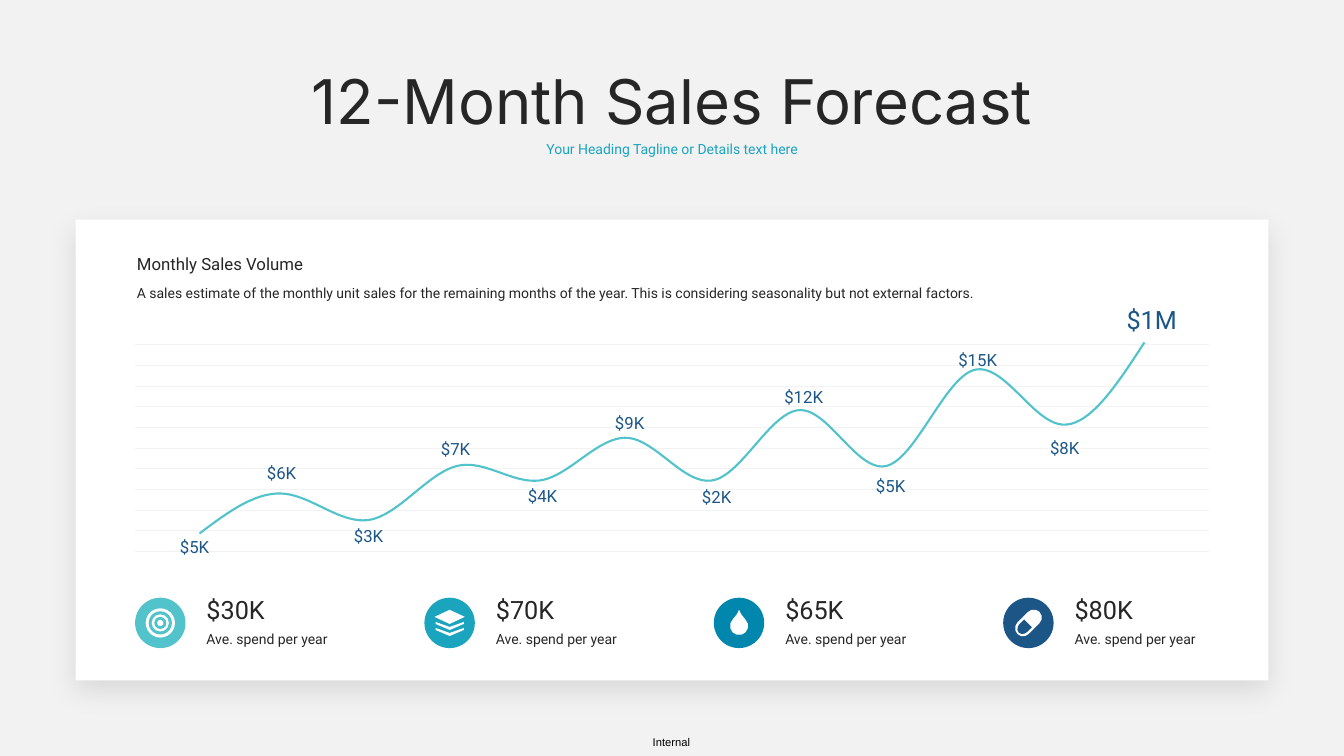
"""Build a 12-month sales forecast slide with a line chart and four spend figures."""
from lxml.etree import SubElement
from pptx import Presentation
from pptx.chart.data import CategoryChartData
from pptx.dml.color import RGBColor
from pptx.enum.chart import XL_CHART_TYPE as ChartType, XL_MARKER_STYLE as Marker
from pptx.enum.shapes import MSO_CONNECTOR as Connector, MSO_SHAPE as Preset
from pptx.enum.text import MSO_ANCHOR as Anchor, MSO_AUTO_SIZE as AutoSize, PP_ALIGN as Align
from pptx.oxml import parse_xml
from pptx.oxml.ns import nsdecls, qn
from pptx.util import Inches, Pt

COLORS = {name: RGBColor.from_string(value) for name, value in {
    "background": "F2F2F2", "white": "FFFFFF", "black": "000000", "ink": "262626",
    "aqua": "52C3CB", "teal": "1BA4BE", "blue": "0187AE", "navy": "1C5687"}.items()}

presentation = Presentation()
presentation.slide_width, presentation.slide_height = Inches(13.33), Inches(7.5)
slide = presentation.slides.add_slide(presentation.slide_layouts[5])
slide.background.fill.solid()
slide.background.fill.fore_color.rgb = COLORS["background"]
shapes = slide.shapes


def write(box, left, top, width, height, text, size, color, align=Align.LEFT, font="Roboto"):
    """Place a text shape and fill it with one formatted run."""
    box.left, box.top, box.width, box.height = map(Inches, (left, top, width, height))
    frame = box.text_frame
    frame.word_wrap = True
    frame.auto_size = AutoSize.NONE
    frame.vertical_anchor = Anchor.TOP
    paragraph = frame.paragraphs[0]
    paragraph.alignment = align
    run = paragraph.add_run()
    run.text = text
    run.font.size, run.font.name = Pt(size), font
    run.font.color.rgb = COLORS[color]


def add_part(preset, center_x, center_y, width, height, color, rotation=0):
    """Add a plain filled shape around a centre point."""
    shape = shapes.add_shape(preset, Inches(center_x - width / 2), Inches(center_y - height / 2),
                             Inches(width), Inches(height))
    shape.shadow.inherit = False
    shape.fill.solid()
    shape.fill.fore_color.rgb = COLORS[color]
    shape.line.fill.background()
    shape.rotation = rotation
    return shape


write(shapes.title, 2.49, 0.57, 8.36, 0.84, "12-Month Sales Forecast", 44, "ink", Align.CENTER, "Inter")

card = add_part(Preset.RECTANGLE, 6.665, 4.465, 11.83, 4.57, "white")
card_effects = card._element.spPr.find(qn("a:effectLst"))
card_effects.append(parse_xml(
    f'<a:outerShdw {nsdecls("a")} blurRad="{Pt(20)}" dist="{Pt(8)}" dir="5400000" rotWithShape="0">'
    '<a:srgbClr val="000000"><a:alpha val="10000"/></a:srgbClr></a:outerShdw>'))

LEFT, RIGHT = 1.34, 11.99
for row in range(11):
    line_y = Inches(3.42 + row * 0.205)
    grid_line = shapes.add_connector(Connector.STRAIGHT, Inches(LEFT), line_y, Inches(RIGHT), line_y)
    grid_line.line.color.rgb = COLORS["background"]
    grid_line.line.width = Pt(0.63)
    SubElement(grid_line._element.spPr, qn("a:effectLst"))

chart_data = CategoryChartData()
chart_data.categories = [str(month) for month in range(1, 13)]
chart_data.add_series("Series 1", (18, 35, 24, 47, 41, 59, 41, 71, 47, 88, 65, 100))
chart = shapes.add_chart(ChartType.LINE, Inches(LEFT), Inches(3.22), Inches(RIGHT - LEFT),
                         Inches(2.54), chart_data).chart
chart.has_legend = chart.has_title = False
chart.font.size, chart.font.name = Pt(10), "Calibri"
chart.font.color.rgb = COLORS["black"]
chart.value_axis.minimum_scale, chart.value_axis.maximum_scale = 0, 100
chart.value_axis.has_major_gridlines = False
chart.value_axis.visible = chart.category_axis.visible = False
plot = chart.plots[0]
plot.vary_by_categories = False
series = plot.series[0]
series.smooth = True
series.marker.style = Marker.NONE
series.format.line.color.rgb = COLORS["aqua"]
series.format.line.width = Pt(1.5)
plot_area = chart._chartSpace.chart.plotArea
for old_layout in plot_area.findall(qn("c:layout")):
    plot_area.remove(old_layout)
plot_area.insert(0, parse_xml(
    f'<c:layout {nsdecls("c")}><c:manualLayout><c:layoutTarget val="inner"/>'
    '<c:xMode val="edge"/><c:yMode val="edge"/><c:x val="0.02"/><c:y val="0.07"/>'
    '<c:w val="0.96"/><c:h val="0.91"/></c:manualLayout></c:layout>'))

for text, box, size, color, align, font in [
        ("Your Heading Tagline or Details text here", (5.16, 1.34, 3.01, 0.27), 10, "teal", Align.CENTER, "Roboto"),
        ("Monthly Sales Volume", (1.26, 2.47, 2.2, 0.3), 12, "ink", Align.LEFT, "Roboto"),
        ("A sales estimate of the monthly unit sales for the remaining months of the year. "
         "This is considering seasonality but not external factors.",
         (1.26, 2.77, 9, 0.27), 10, "ink", Align.LEFT, "Roboto"),
        ("Internal", (6.18, 7.25, 0.96, 0.23), 8, "black", Align.CENTER, "Arial")]:
    write(shapes.add_textbox(0, 0, 0, 0), *box, text, size, color, align, font)

month_labels = [("$5K", 5.28), ("$6K", 4.54), ("$3K", 5.17), ("$7K", 4.3), ("$4K", 4.77), ("$9K", 4.05),
                ("$2K", 4.78), ("$12K", 3.79), ("$5K", 4.67), ("$15K", 3.42), ("$8K", 4.29), ("$1M", 2.97)]
for month, (text, top) in enumerate(month_labels):
    size, height = (18, 0.4) if text == "$1M" else (12, 0.3)
    write(shapes.add_textbox(0, 0, 0, 0), 1.56 + month * 0.863, top, 0.74, height,
          text, size, "navy", Align.CENTER)

ICON_Y = 6.18
icon_centers = [1.59 + column * 2.87 for column in range(4)]
for center_x, amount, color in zip(icon_centers, ("$30K", "$70K", "$65K", "$80K"),
                                   ("aqua", "teal", "blue", "navy")):
    add_part(Preset.OVAL, center_x, ICON_Y, 0.5, 0.5, color)
    write(shapes.add_textbox(0, 0, 0, 0), center_x + 0.36, 6.21, 1.5, 0.27, "Ave. spend per year", 10, "ink")
    write(shapes.add_textbox(0, 0, 0, 0), center_x + 0.36, 5.85, 0.9, 0.4, amount, 18, "ink")

target_x, layers_x, drop_x, pill_x = icon_centers
for diameter, color in [(0.29, "white"), (0.23, "aqua"), (0.17, "white"), (0.12, "aqua"), (0.06, "white")]:
    add_part(Preset.OVAL, target_x, ICON_Y, diameter, diameter, color)

add_part(Preset.DIAMOND, layers_x, 6.12, 0.3, 0.14, "white")
for layer_y in (6.17, 6.23):
    outline = [(-0.14, 0), (0, 0.05), (0.14, 0), (0.14, 0.02), (0, 0.08), (-0.14, 0.02)]
    points = [(Inches(layers_x + x), Inches(layer_y + y)) for x, y in outline]
    builder = shapes.build_freeform(*points[0])
    builder.add_line_segments(points[1:])
    layer = builder.convert_to_shape()
    layer.shadow.inherit = False
    layer.fill.solid()
    layer.fill.fore_color.rgb = COLORS["white"]
    layer.line.fill.background()

drop = add_part(Preset.TEAR, drop_x, 6.21, 0.18, 0.18, "white", 315)
drop.adjustments[0] = 1.26

pill = add_part(Preset.ROUNDED_RECTANGLE, pill_x, ICON_Y, 0.31, 0.16, "white", 315)
pill.adjustments[0] = 0.5
add_part(Preset.FLOWCHART_DELAY, pill_x - 0.05, ICON_Y + 0.05, 0.13, 0.11, "navy", 135)

presentation.save("out.pptx")
